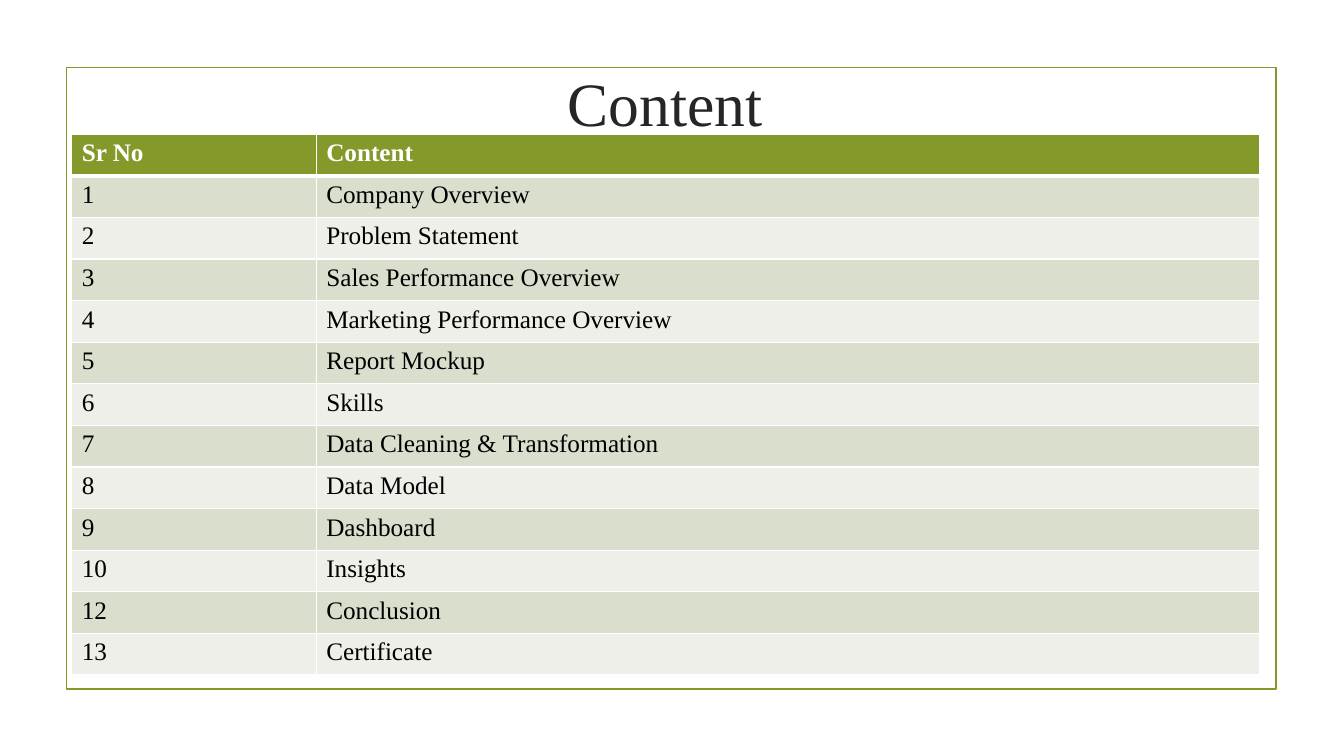
from lxml.etree import SubElement
from pptx import Presentation
from pptx.dml.color import RGBColor
from pptx.enum.shapes import MSO_SHAPE
from pptx.enum.text import MSO_ANCHOR, PP_ALIGN
from pptx.oxml.ns import qn
from pptx.util import Pt

TITLE = "Content"
HEADER = ("Sr No", "Content")
ENTRIES = [
    ("1", "Company Overview"),
    ("2", "Problem Statement"),
    ("3", "Sales Performance Overview"),
    ("4", "Marketing Performance Overview"),
    ("5", "Report Mockup"),
    ("6", "Skills"),
    ("7", "Data Cleaning & Transformation"),
    ("8", "Data Model"),
    ("9", "Dashboard"),
    ("10", "Insights"),
    ("12", "Conclusion"),
    ("13", "Certificate"),
]

FONT = "Times New Roman"
GREEN = RGBColor(0x83, 0x99, 0x2A)
BAND_DARK = RGBColor(0xD9, 0xDE, 0xCD)
BAND_LIGHT = RGBColor(0xED, 0xEF, 0xE8)
WHITE = RGBColor(0xFF, 0xFF, 0xFF)
BLACK = RGBColor(0, 0, 0)
TITLE_GREY = RGBColor(0x26, 0x26, 0x26)

LEFT = 51.2
COLUMN_WIDTHS = (174.7, 673.7)
WIDTH = sum(COLUMN_WIDTHS)
TABLE_TOP = 95.9
ROW_HEIGHT = 29.72


def write(tf, text, size=18, color=BLACK, bold=False, align=PP_ALIGN.LEFT):
    p = tf.paragraphs[0]
    p.alignment = align
    r = p.add_run()
    r.text = text
    r.font.name = FONT
    r.font.size = Pt(size)
    r.font.bold = bold
    r.font.color.rgb = color


def set_borders(cell, bottom=1, top=1):
    """Draw white cell borders; widths are in points."""
    tc_pr = cell._tc.get_or_add_tcPr()
    for side, width in (("L", 1), ("R", 1), ("T", top), ("B", bottom)):
        ln = SubElement(tc_pr, qn(f"a:ln{side}"), w=str(Pt(width)))
        fill = SubElement(ln, qn("a:solidFill"))
        SubElement(fill, qn("a:srgbClr"), val=str(WHITE))


def add_frame(slide):
    sp = slide.shapes.add_shape(
        MSO_SHAPE.RECTANGLE, Pt(47.5), Pt(48.2), Pt(864), Pt(444))
    sp.shadow.inherit = False
    sp.fill.background()
    sp.line.color.rgb = GREEN
    sp.line.width = Pt(1.25)


def add_title(slide):
    sp = slide.shapes.add_textbox(Pt(LEFT), Pt(35.3), Pt(WIDTH), Pt(67.7))
    tf = sp.text_frame
    tf.word_wrap = True
    tf.vertical_anchor = MSO_ANCHOR.BOTTOM
    write(tf, TITLE, size=44, color=TITLE_GREY, align=PP_ALIGN.CENTER)


def add_contents(slide):
    rows = [HEADER, *ENTRIES]
    table = slide.shapes.add_table(
        len(rows), len(HEADER), Pt(LEFT), Pt(TABLE_TOP),
        Pt(WIDTH), Pt(ROW_HEIGHT * len(rows))).table
    for column, width in zip(table.columns, COLUMN_WIDTHS):
        column.width = Pt(width)
    for i, texts in enumerate(rows):
        table.rows[i].height = Pt(ROW_HEIGHT)
        is_header = i == 0
        band = GREEN if is_header else BAND_DARK if i % 2 else BAND_LIGHT
        for j, text in enumerate(texts):
            cell = table.cell(i, j)
            set_borders(cell, bottom=3 if is_header else 1,
                        top=3 if i == 1 else 1)
            cell.fill.solid()
            cell.fill.fore_color.rgb = band
            write(cell.text_frame, text, bold=is_header,
                  color=WHITE if is_header else BLACK)


def main():
    prs = Presentation()
    prs.slide_width, prs.slide_height = Pt(960), Pt(540)
    slide = prs.slides.add_slide(prs.slide_layouts[6])
    add_frame(slide)
    add_title(slide)
    add_contents(slide)
    prs.save("out.pptx")


if __name__ == "__main__":
    main()
